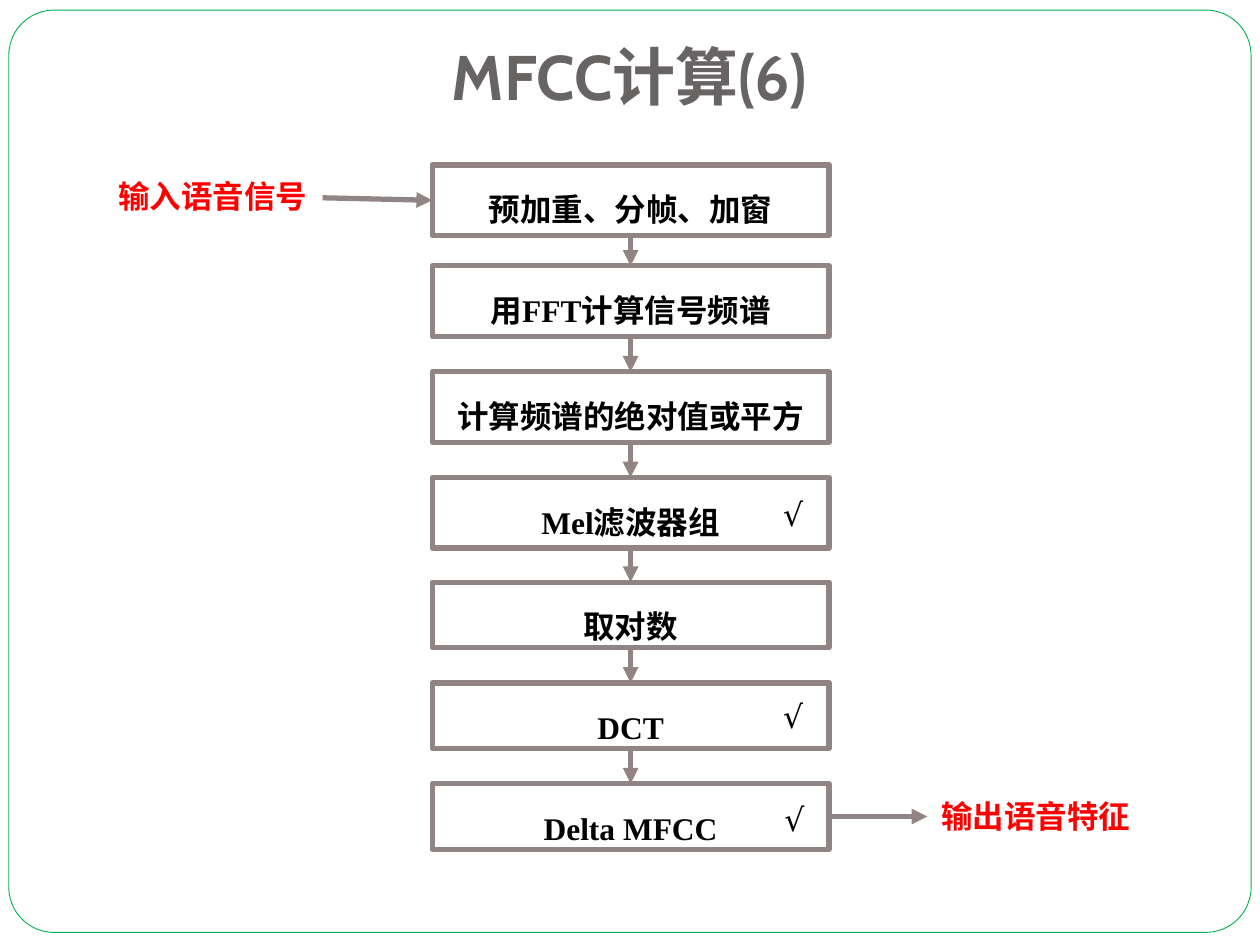
"""Build the MFCC calculation flowchart slide."""
from itertools import pairwise

from pptx import Presentation
from pptx.dml.color import RGBColor
from pptx.enum.shapes import MSO_CONNECTOR as LINE, MSO_SHAPE as SHAPE
from pptx.enum.text import MSO_ANCHOR as ANCHOR, MSO_AUTO_SIZE as FIT, PP_ALIGN as ALIGN
from pptx.oxml.ns import qn
from pptx.util import Inches, Pt
from lxml.etree import SubElement

WHITE = RGBColor(0xFF, 0xFF, 0xFF)
BLACK = RGBColor(0, 0, 0)
RED = RGBColor(0xFF, 0, 0)
GREEN = RGBColor(0, 0xB0, 0x50)
TAUPE = RGBColor(0x91, 0x84, 0x85)
GRAY = RGBColor(0x69, 0x64, 0x64)

TOP, LEFT, BOTTOM, RIGHT = range(4)
STEP_LEFT, STEP_WIDTH = 3.43, 3.15
STEPS = [
    ("预加重、分帧、加窗", 1.31, 0.56),
    ("用FFT计算信号频谱", 2.11, 0.56),
    ("计算频谱的绝对值或平方", 2.95, 0.56),
    ("Mel滤波器组", 3.79, 0.56),
    ("取对数", 4.62, 0.52),
    ("DCT", 5.42, 0.52),
    ("Delta MFCC", 6.22, 0.52),
]
CHECKS = [(6.09, 3.88), (6.09, 5.48), (6.1, 6.3)]


def write(shape, text, font, size, color, bold=True):
    frame = shape.text_frame
    frame.text = text
    para = frame.paragraphs[0]
    para.alignment = ALIGN.CENTER
    para.font.name = font
    para.font.size = Pt(size)
    para.font.bold = bold
    para.font.color.rgb = color
    return para


def add_panel(page, kind, left, top, width, height, color, weight):
    panel = page.shapes.add_shape(
        kind, Inches(left), Inches(top), Inches(width), Inches(height))
    panel.shadow.inherit = False
    panel.fill.solid()
    panel.fill.fore_color.rgb = WHITE
    panel.line.color.rgb = color
    panel.line.width = Pt(weight)
    return panel


def add_frame(page):
    frame = add_panel(page, SHAPE.ROUNDED_RECTANGLE, 0.07, 0.08, 9.86, 7.32, GREEN, 0.5)
    frame.adjustments[0] = 0.049
    page.shapes._spTree.insert(2, frame._element)


def add_title(page, text):
    title = page.shapes.title
    title.left, title.top = Inches(0.33), Inches(0.13)
    title.width, title.height = Inches(9.33), Inches(0.87)
    write(title, text, "Cabin", 36, GRAY)
    title.text_frame.vertical_anchor = ANCHOR.BOTTOM
    title.text_frame.margin_bottom = Inches(0.1)


def add_step(page, text, top, height):
    step = add_panel(page, SHAPE.RECTANGLE, STEP_LEFT, top, STEP_WIDTH, height, TAUPE, 3)
    para = write(step, text, "Times New Roman", 18, BLACK)
    para.line_spacing = 1.5
    step.text_frame.vertical_anchor = ANCHOR.TOP
    step.text_frame.auto_size = FIT.SHAPE_TO_FIT_TEXT
    return step


def add_arrow(page, start=(0, 0), end=(0, 0), source=None, target=None):
    arrow = page.shapes.add_connector(
        LINE.STRAIGHT, *(Inches(value) for value in (*start, *end)))
    if source:
        arrow.begin_connect(*source)
    if target:
        arrow.end_connect(*target)
    arrow.line.color.rgb = TAUPE
    arrow.line.width = Pt(3)
    SubElement(arrow.line._get_or_add_ln(), qn("a:tailEnd"), type="triangle")
    SubElement(arrow._element.spPr, qn("a:effectLst"))


def add_label(page, text, left, top, width, color, bold):
    label = page.shapes.add_textbox(
        Inches(left), Inches(top), Inches(width), Inches(0.4))
    write(label, text, "DejaVu Sans", 18, color, bold)
    label.text_frame.word_wrap = False
    label.text_frame.auto_size = FIT.SHAPE_TO_FIT_TEXT


def main():
    deck = Presentation()
    deck.slide_width, deck.slide_height = Inches(10), Inches(7.5)
    page = deck.slides.add_slide(deck.slide_layouts[5])
    add_frame(page)
    add_title(page, "MFCC计算(6)".replace("(", "(").replace(")", ")"))
    steps = [add_step(page, *step) for step in STEPS]
    add_arrow(page, start=(2.56, 1.57), target=(steps[0], LEFT))
    for upper, lower in pairwise(steps):
        add_arrow(page, source=(upper, BOTTOM), target=(lower, TOP))
    add_arrow(page, end=(7.36, 6.48), source=(steps[-1], RIGHT))
    add_label(page, "输入语音信号", 0.83, 1.36, 1.72, RED, True)
    add_label(page, "输出语音特征", 7.36, 6.28, 1.72, RED, True)
    for left, top in CHECKS:
        add_label(page, "√", left, top, 0.41, BLACK, False)
    deck.save("out.pptx")


main()
